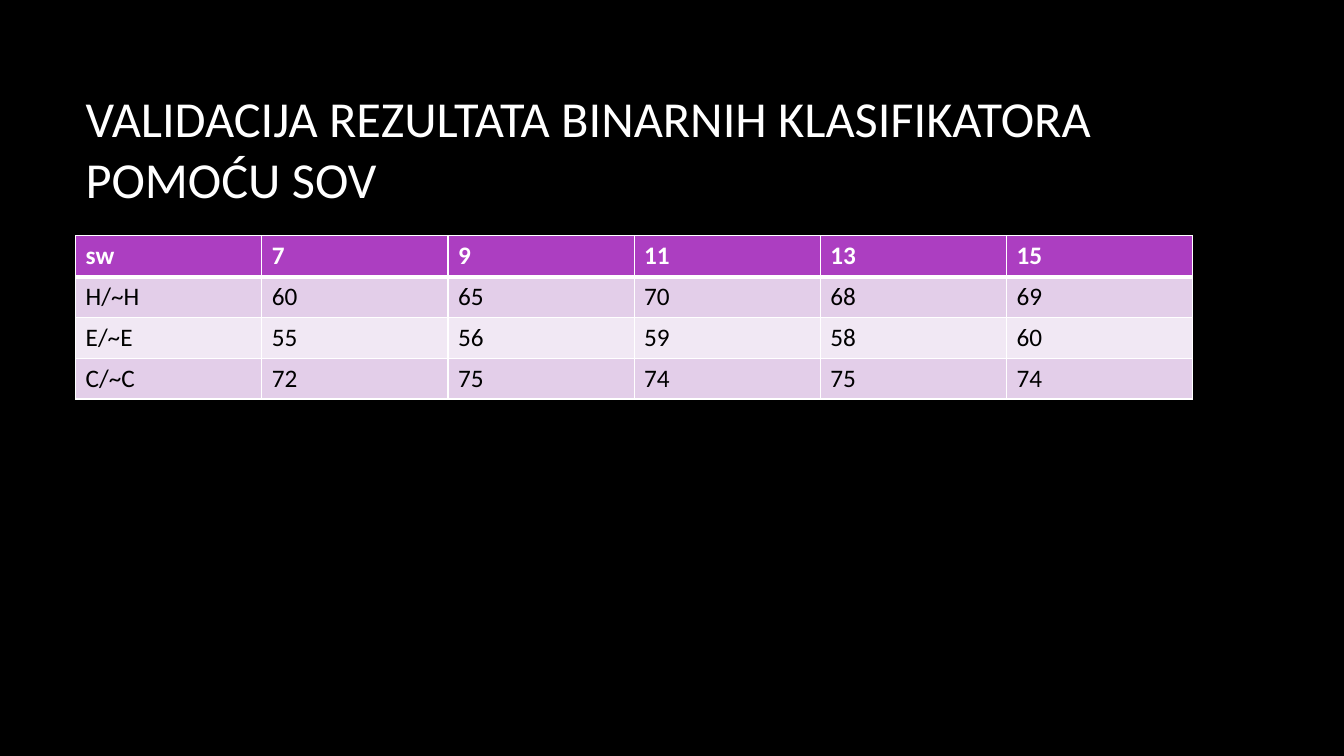
from lxml.etree import SubElement
from pptx import Presentation
from pptx.dml.color import RGBColor
from pptx.enum.text import MSO_ANCHOR
from pptx.oxml.ns import qn
from pptx.util import Inches, Pt

BLACK = RGBColor(0x00, 0x00, 0x00)
WHITE = RGBColor(0xFF, 0xFF, 0xFF)
PURPLE = RGBColor(0xAC, 0x3E, 0xC1)
LILAC = RGBColor(0xE3, 0xCE, 0xE9)
PALE = RGBColor(0xF1, 0xE8, 0xF4)

LEFT, WIDTH = 0.75, 11.08
TITLE = "VALIDACIJA REZULTATA BINARNIH KLASIFIKATORA POMOĆU SOV"
SCORES = [
    ["sw", 7, 9, 11, 13, 15],
    ["H/~H", 60, 65, 70, 68, 69],
    ["E/~E", 55, 56, 59, 58, 60],
    ["C/~C", 72, 75, 74, 75, 74],
]


def write(frame, text, size=18, color=BLACK, bold=False, font="Calibri"):
    run = frame.paragraphs[0].add_run()
    run.text = str(text)
    run.font.name = font
    run.font.size = Pt(size)
    run.font.bold = bold
    run.font.color.rgb = color


def edge(cell, side, width):
    """Draw a white border on one side (L, R, T or B) of a cell."""
    props = cell._tc.get_or_add_tcPr()
    line = SubElement(props, qn(f"a:ln{side}"), w=str(Pt(width)))
    fill = SubElement(line, qn("a:solidFill"))
    SubElement(fill, qn("a:srgbClr"), val=str(WHITE))


class Deck:
    def __init__(self):
        self.show = Presentation()
        self.show.slide_width = Inches(13.33)
        self.show.slide_height = Inches(7.5)
        self.slide = self.show.slides.add_slide(self.show.slide_layouts[6])
        fill = self.slide.background.fill
        fill.solid()
        fill.fore_color.rgb = BLACK

    def title(self, text, top, height):
        box = self.slide.shapes.add_textbox(
            Inches(LEFT), Inches(top), Inches(WIDTH), Inches(height))
        frame = box.text_frame
        frame.word_wrap = True
        frame.vertical_anchor = MSO_ANCHOR.MIDDLE
        write(frame, text, size=36, color=WHITE)

    def table(self, rows, top, height):
        table = self.slide.shapes.add_table(
            len(rows), len(rows[0]), Inches(LEFT), Inches(top),
            Inches(WIDTH), Inches(height)).table
        for r, row in enumerate(rows):
            for c, value in enumerate(row):
                self.cell(table.cell(r, c), r, value)

    def cell(self, cell, row, value):
        head = row == 0
        widths = {"L": 1, "R": 1, "T": 3 if row == 1 else 1, "B": 3 if head else 1}
        for side, width in widths.items():
            edge(cell, side, width)
        cell.fill.solid()
        cell.fill.fore_color.rgb = PURPLE if head else LILAC if row % 2 else PALE
        write(cell.text_frame, value, color=WHITE if head else BLACK, bold=head)


def main():
    deck = Deck()
    deck.title(TITLE, 0.67, 1.59)
    deck.table(SCORES, 2.34, 1.62)
    deck.show.save("out.pptx")


if __name__ == "__main__":
    main()
